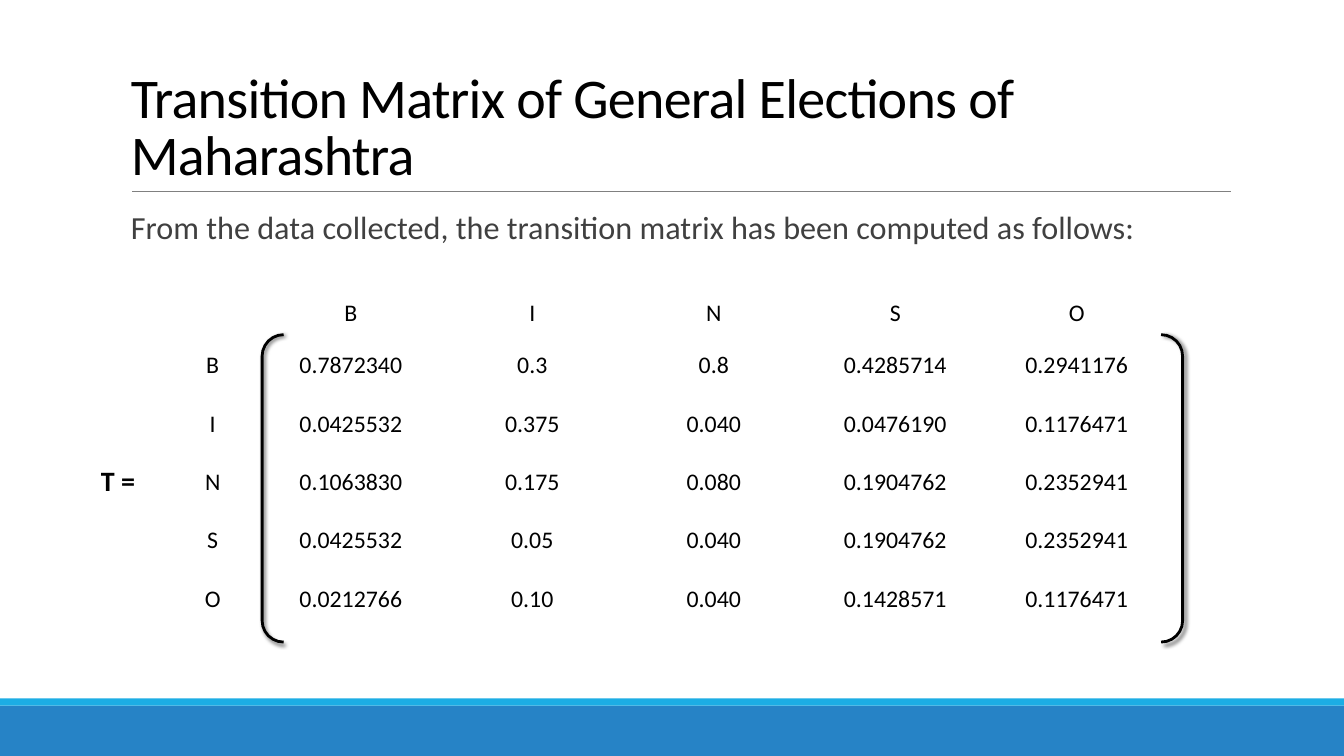
from lxml import etree
from pptx import Presentation
from pptx import util as u
from pptx.dml.color import RGBColor
from pptx.enum import shapes, text
from pptx.oxml import ns

PX = 9144  # one px is a hundredth of an inch
PARTIES = ["B", "I", "N", "S", "O"]
TRANSITIONS = [
    ["0.7872340", "0.3", "0.8", "0.4285714", "0.2941176"],
    ["0.0425532", "0.375", "0.040", "0.0476190", "0.1176471"],
    ["0.1063830", "0.175", "0.080", "0.1904762", "0.2352941"],
    ["0.0425532", "0.05", "0.040", "0.1904762", "0.2352941"],
    ["0.0212766", "0.10", "0.040", "0.1428571", "0.1176471"],
]


def px(*lengths):
    return [u.Emu(length * PX) for length in lengths]


def color(value):
    return RGBColor.from_string(value)


def write(frame, words, size, ink="000000", bold=False, align=text.PP_ALIGN.LEFT,
          line_spacing=None, tracking=None):
    para = frame.paragraphs[0]
    para.alignment = align
    para.line_spacing = line_spacing
    span = para.add_run()
    span.text = words
    span.font.name = "Calibri"
    span.font.size = u.Pt(size)
    span.font.bold = bold
    span.font.color.rgb = color(ink)
    if tracking is not None:
        span.font._element.set("spc", str(tracking))


def add_text(page, box, words, size, anchor=text.MSO_ANCHOR.TOP, **style):
    frame = page.shapes.add_textbox(*px(*box)).text_frame
    frame.word_wrap = True
    frame.vertical_anchor = anchor
    write(frame, words, size, **style)


def add_footer(page, box):
    left, top, width, height = box
    stripe = 7
    bands = [(top + stripe, height - stripe, "2683C6"), (top, stripe, "1CADE4")]
    for band_top, band_height, fill in bands:
        band = page.shapes.add_shape(shapes.MSO_SHAPE.RECTANGLE,
                                     *px(left, band_top, width, band_height))
        band.shadow.inherit = False
        band.fill.solid()
        band.fill.fore_color.rgb = color(fill)
        band.line.fill.background()


def add_heading(page, box):
    left, top, width, height = box
    # Rule under the title
    rule = page.shapes.add_connector(
        shapes.MSO_CONNECTOR.STRAIGHT,
        *px(left + 11, top + height, left + width + 1, top + height))
    rule.line.color.rgb = color("808080")
    rule.line.width = u.Pt(0.5)
    etree.SubElement(rule._element.spPr, ns.qn("a:effectLst"))
    # Title
    add_text(page, box, "Transition Matrix of General Elections of Maharashtra", 40,
             anchor=text.MSO_ANCHOR.BOTTOM, line_spacing=0.85, tracking=-50)


def add_brackets(page, box):
    pair = page.shapes.add_shape(shapes.MSO_SHAPE.DOUBLE_BRACKET, *px(*box))
    pair.adjustments[0] = 0.07
    pair.fill.background()
    pair.line.color.rgb = color("000000")
    pair.line.width = u.Pt(2)
    # Soft shadow to the lower right
    pair.shadow.inherit = False
    effects = pair._element.spPr.find(ns.qn("a:effectLst"))
    shadow = etree.SubElement(effects, ns.qn("a:outerShdw"), blurRad=str(u.Pt(3)),
                              dist=str(u.Pt(2)), dir="2700000", rotWithShape="0")
    ink = etree.SubElement(shadow, ns.qn("a:srgbClr"), val="000000")
    etree.SubElement(ink, ns.qn("a:alpha"), val="60000")


def add_matrix(page, box):
    left, top, width, height = box
    label_width, header_height = 94, 46
    value_width = (width - 2 * label_width) // len(PARTIES)
    row_height = (height - header_height) // len(PARTIES)
    # Header row, then one labelled row per party
    rows = [["", "", *PARTIES]]
    for party, values in zip(PARTIES, TRANSITIONS):
        rows.append(["T =" if party == "N" else "", party, *values])
    table = page.shapes.add_table(len(rows), len(rows[0]), *px(*box)).table
    table.first_row = table.horz_banding = False
    for index, column in enumerate(table.columns):
        column.width = px(label_width if index < 2 else value_width)[0]
    for index, row in enumerate(table.rows):
        row.height = px(row_height if index else header_height)[0]
        for cell, words in zip(row.cells, rows[index]):
            cell.fill.background()
            cell.vertical_anchor = text.MSO_ANCHOR.MIDDLE
            cell.margin_left, cell.margin_top, cell.margin_right, cell.margin_bottom = px(1, 1, 1, 0)
            if words:
                is_name = words == "T ="
                write(cell.text_frame, words, 20 if is_name else 17, bold=is_name,
                      align=text.PP_ALIGN.CENTER)
    add_brackets(page, (left + 190, top + header_height - 1, width - 178, height - 35))


def main():
    deck = Presentation()
    deck.slide_width, deck.slide_height = px(1333, 750)
    page = deck.slides.add_slide(deck.slide_layouts[6])
    add_footer(page, (0, 693, 1333, 57))
    add_heading(page, (120, 31, 1100, 159))
    add_text(page, (120, 201, 1113, 49),
             "From the data collected, the transition matrix has been computed as follows:",
             23, ink="404040")
    add_matrix(page, (70, 287, 1091, 340))
    deck.save("out.pptx")


if __name__ == "__main__":
    main()
